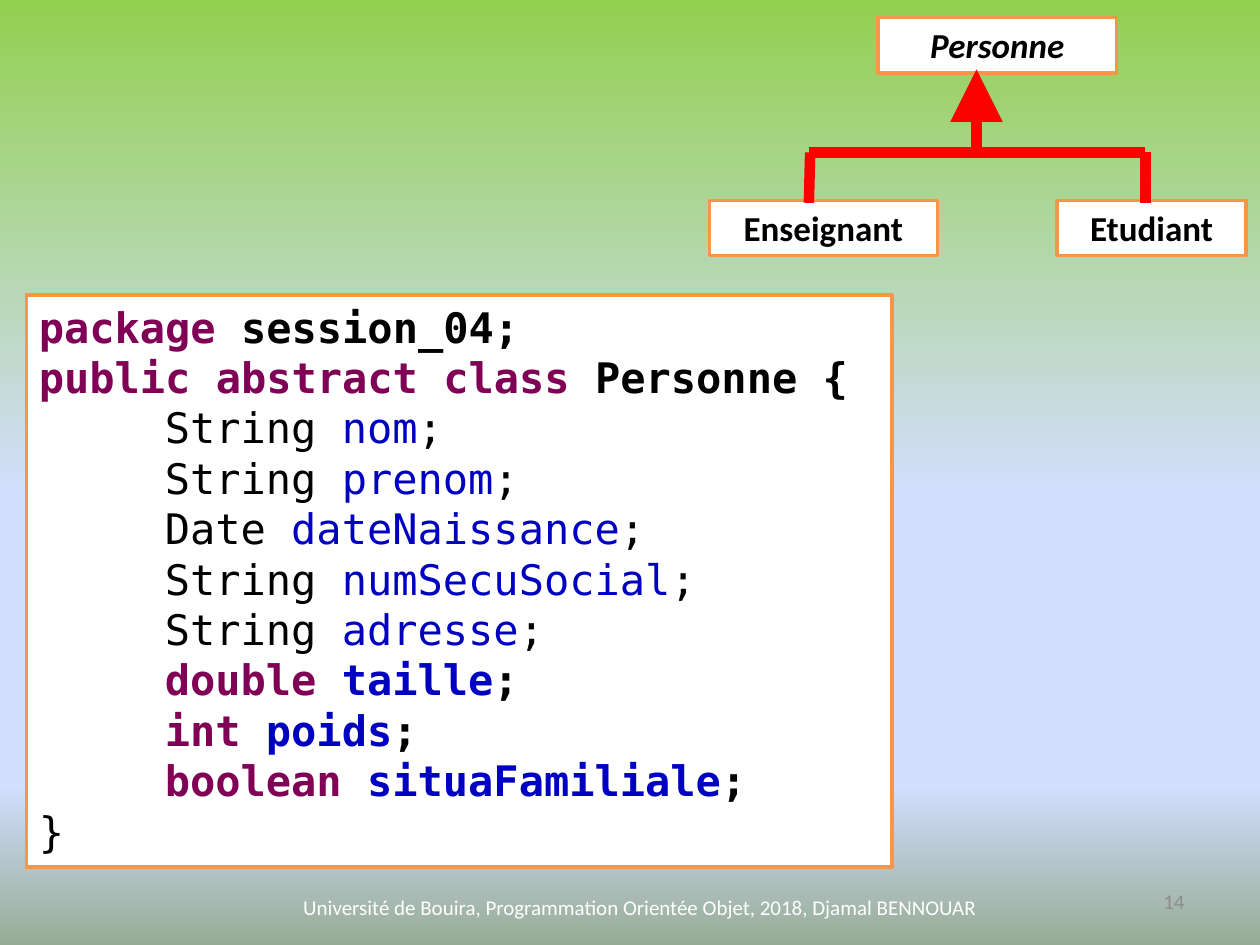
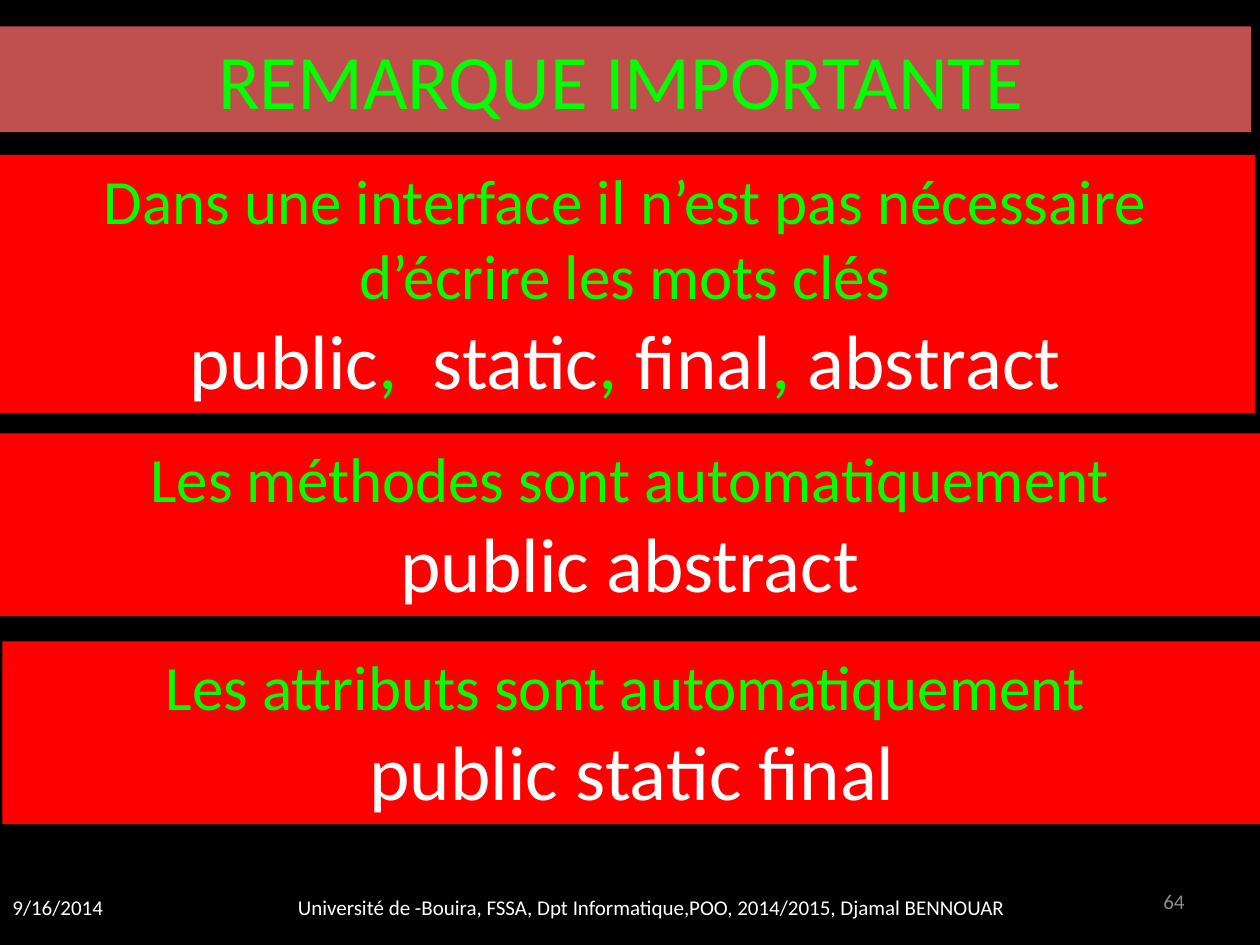
import pptx
import pptx.util
import pptx.dml.color
import pptx.enum.shapes
import pptx.enum.text
import pptx.oxml.ns
from lxml import etree

Inches, Pt = pptx.util.Inches, pptx.util.Pt
RGB = pptx.dml.color.RGBColor
ALIGN = pptx.enum.text.PP_ALIGN
ANCHOR = pptx.enum.text.MSO_ANCHOR
qn = pptx.oxml.ns.qn

WHITE = RGB(0xFF, 0xFF, 0xFF)
BLACK = RGB(0, 0, 0)
GRAY = RGB(0x8C, 0x8C, 0x8C)
ORANGE = RGB(0xF7, 0x96, 0x46)
RED = RGB(0xFF, 0, 0)
BRICK = RGB(0xC0, 0x50, 0x4D)
GREEN = RGB(0, 0xFF, 0)
PURPLE = RGB(0x7F, 0, 0x55)
BLUE = RGB(0, 0, 0xC0)
SKY = [(0, "92D050"), (53, "D4DEFF"), (83, "D4DEFF"), (100, "96AB94")]

SANS, MONO = "Calibri", "DejaVu Sans Mono"
TAB = Inches(1)

# Attributes of the class: type, name, primitive or not
FIELDS = [
    ("String", "nom", False),
    ("String", "prenom", False),
    ("Date", "dateNaissance", False),
    ("String", "numSecuSocial", False),
    ("String", "adresse", False),
    ("double", "taille", True),
    ("int", "poids", True),
    ("boolean", "situaFamiliale", True),
]

# Class diagram: name, place, italic
CLASSES = [
    ("Personne", (6.97, 0.14, 1.89, 0.44), True),
    ("Enseignant", (5.63, 1.59, 1.81, 0.44), False),
    ("Etudiant", (8.39, 1.59, 1.5, 0.44), False),
]
BAR = 1.21
LINKS = [
    ((6.42, BAR), (9.09, BAR)),
    ((6.42, 1.61), (6.43, BAR)),
    ((9.09, 1.61), (9.09, BAR)),
]
ARROW = ((7.75, BAR), (7.75, 0.55))

TITLE = "REMARQUE IMPORTANTE"
# Bands: left, top, height, sentence, keywords
BANDS = [
    (-0.04, 1.23, 2.05,
     "Dans une interface il n’est pas nécessaire d’écrire les mots clés",
     [("public", WHITE), (",  ", GREEN), ("static", WHITE), (", ", GREEN),
      ("final", WHITE), (", ", GREEN), ("abstract", WHITE)]),
    (0, 3.44, 1.45, "Les méthodes sont automatiquement",
     [("public abstract", WHITE)]),
    (0.02, 5.09, 1.45, "Les attributs sont automatiquement ",
     [("public static final", WHITE)]),
]

FOOT_1 = "Université de Bouira, Programmation Orientée Objet, 2018, Djamal BENNOUAR"
FOOT_2 = "Université de -Bouira, FSSA, Dpt Informatique,POO, 2014/2015, Djamal BENNOUAR"


def indent(para):
    """Give a paragraph its tab stop."""
    stops = etree.SubElement(para._p.get_or_add_pPr(), qn("a:tabLst"))
    etree.SubElement(stops, qn("a:tab"), pos=str(TAB), algn="l")


def write(frame, paras, align=ALIGN.CENTER, face=SANS):
    """Fill a frame with paragraphs given as (size, bold, italic, runs)."""
    frame.word_wrap = True
    for i, (size, bold, italic, runs) in enumerate(paras):
        para = frame.paragraphs[0] if i == 0 else frame.add_paragraph()
        para.alignment = align
        if runs[0][0].startswith("\t"):
            indent(para)
        font = para.font
        font.name, font.size = face, Pt(size)
        font.bold, font.italic = bold, italic
        for text, color in runs:
            run = para.add_run()
            run.text = text
            run.font.color.rgb = color


def label(slide, place, text, color, align):
    box = slide.shapes.add_textbox(*map(Inches, place))
    box.text_frame.vertical_anchor = ANCHOR.MIDDLE
    write(box.text_frame, [(12, False, False, [(text, color)])], align)


def footer(slide, left, text, number):
    label(slide, (left, 7, 8, 0.4), text, WHITE, ALIGN.CENTER)
    label(slide, (7.17, 6.95, 2.33, 0.4), number, GRAY, ALIGN.RIGHT)


def panel(slide, place, fill, paras, edge=None, **style):
    """Draw a filled rectangle with text, outlined if an edge is given."""
    box = slide.shapes.add_shape(
        pptx.enum.shapes.MSO_SHAPE.RECTANGLE, *map(Inches, place))
    box.shadow.inherit = False
    box.fill.solid()
    box.fill.fore_color.rgb = fill
    if edge is None:
        box.line.fill.background()
    else:
        box.line.color.rgb = edge
        box.line.width = Pt(2)
    frame = box.text_frame
    frame.vertical_anchor = ANCHOR.TOP
    frame.auto_size = pptx.enum.text.MSO_AUTO_SIZE.SHAPE_TO_FIT_TEXT
    write(frame, paras, **style)


def link(slide, start, end, head=False):
    line = slide.shapes.add_connector(
        pptx.enum.shapes.MSO_CONNECTOR.STRAIGHT, *map(Inches, start + end))
    line.line.color.rgb = RED
    line.line.width = Pt(6)
    props = line._element.spPr
    if head:
        etree.SubElement(props.find(qn("a:ln")), qn("a:tailEnd"),
                         type="triangle", w="lg", len="lg")
    etree.SubElement(props, qn("a:effectLst"))


def shade(slide, stops):
    """Paint the background with a gradient from top to bottom."""
    fill = slide.background.fill
    fill.gradient()
    fill.gradient_angle = 270
    group = next(slide.element.iter(qn("a:gsLst")))
    for stop in list(group):
        group.remove(stop)
    for pos, color in stops:
        stop = etree.SubElement(group, qn("a:gs"), pos=str(pos * 1000))
        etree.SubElement(stop, qn("a:srgbClr"), val=color)


def code():
    """List the paragraphs of the class source."""
    rows = [
        (True, [("package", PURPLE), (" session_04;", BLACK)]),
        (True, [("public abstract class ", PURPLE), ("Personne {", BLACK)]),
    ]
    for kind, name, prim in FIELDS:
        rows.append((prim, [(f"\t{kind} ", PURPLE if prim else BLACK),
                            (name, BLUE), (";", BLACK)]))
    rows.append((False, [("}", BLACK)]))
    return [(24, bold, False, runs) for bold, runs in rows]


def person(slide):
    shade(slide, SKY)
    footer(slide, 1.08, FOOT_1, "14")
    panel(slide, (0.21, 2.34, 6.87, 4.54), WHITE, code(), ORANGE,
          align=ALIGN.LEFT, face=MONO)
    for name, place, italic in CLASSES:
        panel(slide, place, WHITE, [(20, True, italic, [(name, BLACK)])], ORANGE)
    link(slide, *ARROW, head=True)
    for start, end in LINKS:
        link(slide, start, end)


def remark(slide):
    slide.background.fill.solid()
    slide.background.fill.fore_color.rgb = BLACK
    label(slide, (0, 7, 1.25, 0.4), "9/16/2014", WHITE, ALIGN.LEFT)
    footer(slide, 1.17, FOOT_2, "64")
    panel(slide, (-0.07, 0.21, 10, 0.84), BRICK,
          [(44, False, False, [(TITLE, GREEN)])])
    for left, top, height, text, words in BANDS:
        panel(slide, (left, top, 10, height), RED,
              [(36, False, False, [(text, GREEN)]),
               (44, False, False, words)])


def main():
    deck = pptx.Presentation()
    deck.slide_width, deck.slide_height = Inches(10), Inches(7.5)
    for draw in (person, remark):
        draw(deck.slides.add_slide(deck.slide_layouts[6]))
    deck.save("out.pptx")


if __name__ == "__main__":
    main()
